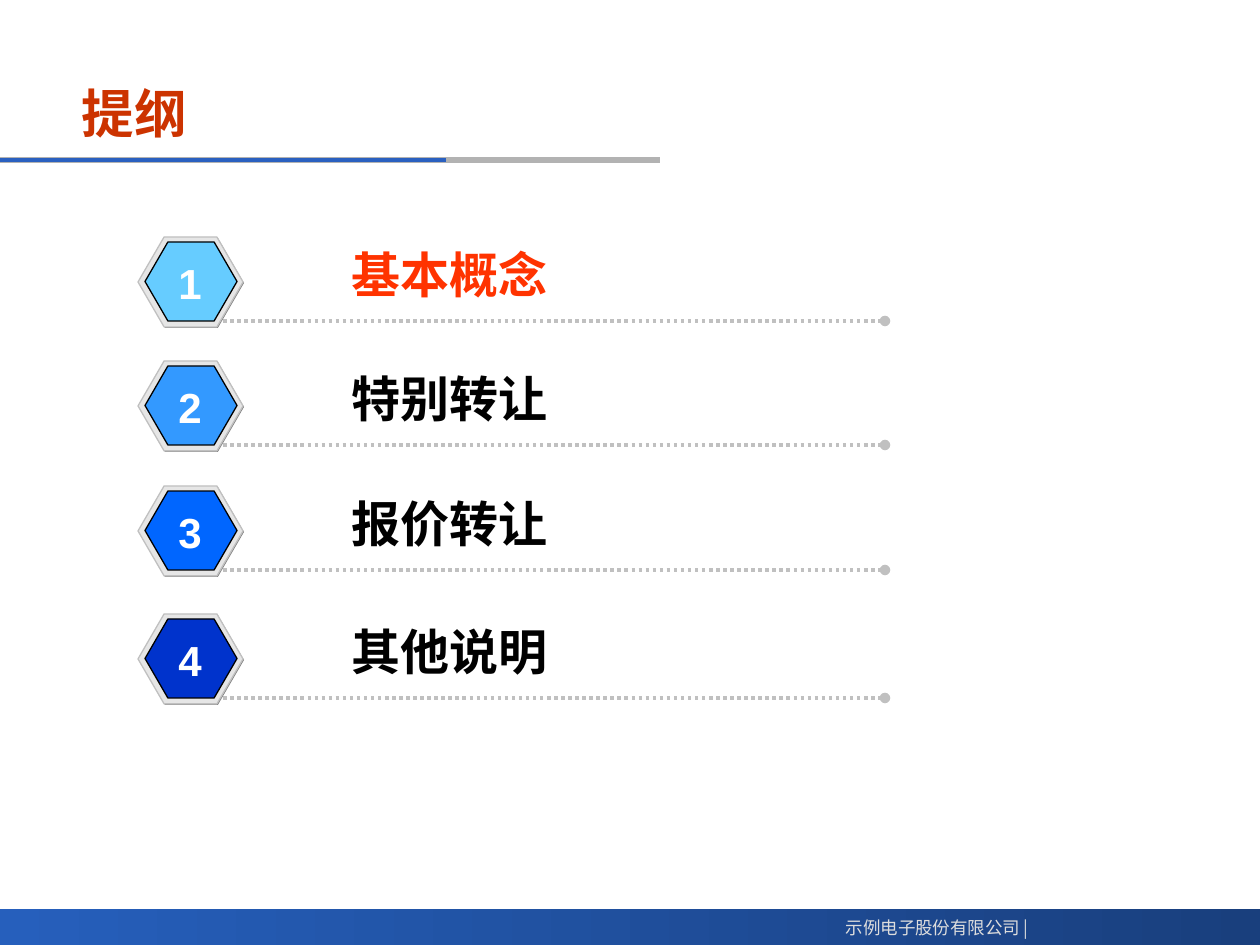
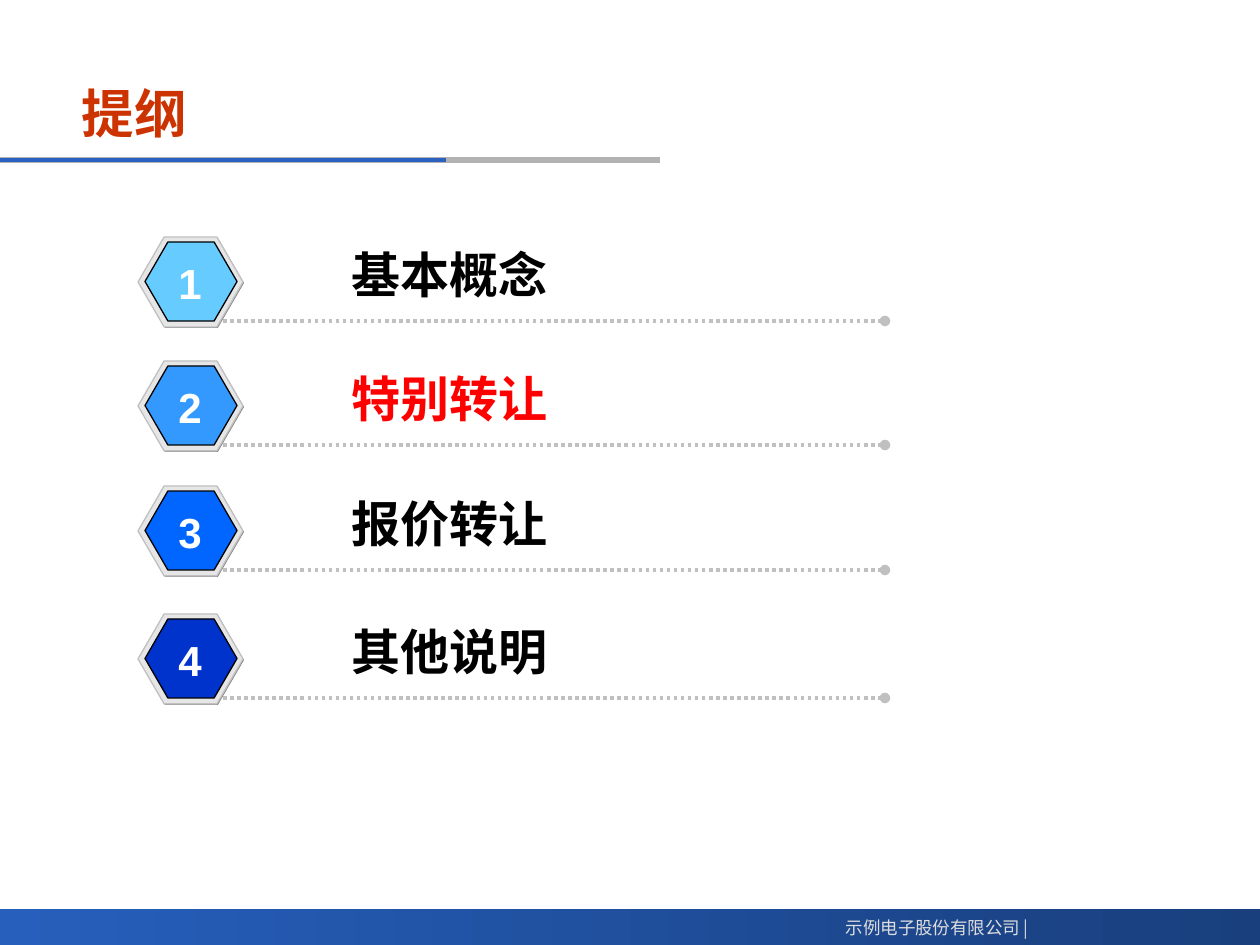
from lxml import etree
from pptx import Presentation
from pptx import util as u
from pptx.dml.color import RGBColor
from pptx.enum import dml, lang, shapes, text
from pptx.oxml import ns

EMU_PER_PX = 914400 / 126
WIDTH, HEIGHT = 1260, 945

WHITE = RGBColor(0xFF, 0xFF, 0xFF)
BLACK = RGBColor(0x00, 0x00, 0x00)
TITLE_RED = RGBColor(0xCC, 0x33, 0x00)
ORANGE_RED = RGBColor(0xFF, 0x33, 0x00)
PURE_RED = RGBColor(0xFF, 0x00, 0x00)
BAND_START = RGBColor(0x26, 0x5F, 0xBC)
BAND_END = RGBColor(0x19, 0x3F, 0x7D)
RULE_BLUE = RGBColor(0x2A, 0x60, 0xC0)
RULE_GREY = RGBColor(0xB2, 0xB2, 0xB2)
FOOTER_GREY = RGBColor(0xDD, 0xDD, 0xDD)
SHADE_GREY = RGBColor(0x80, 0x80, 0x80)
RIM_GREY = RGBColor(0xE6, 0xE6, 0xE6)
LINE_GREY = RGBColor(0xC0, 0xC0, 0xC0)

# Label, badge colour and top of each agenda row
AGENDA = [
    ("基本概念", RGBColor(0x66, 0xCC, 0xFF), 237),
    ("特别转让", RGBColor(0x33, 0x99, 0xFF), 361),
    ("报价转让", RGBColor(0x00, 0x66, 0xFF), 486),
    ("其他说明", RGBColor(0x00, 0x33, 0xCC), 614),
]
AGENDA_LEFT = 138


def px(*lengths):
    return [u.Emu(round(length * EMU_PER_PX)) for length in lengths]


def format_paragraph(paragraph, size, color, bold=True, name="Arial",
                     align=text.PP_ALIGN.LEFT):
    paragraph.alignment = align
    font = paragraph.font
    font.size, font.bold, font.name = u.Pt(size), bold, name
    font.color.rgb = color
    font.language_id = lang.MSO_LANGUAGE_ID.SIMPLIFIED_CHINESE


def add_label(parent, box, words, size, color, **style):
    """Add a one-line text box that fits its words."""
    label = parent.shapes.add_textbox(*px(*box))
    frame = label.text_frame
    frame.word_wrap = False
    frame.auto_size = text.MSO_AUTO_SIZE.SHAPE_TO_FIT_TEXT
    frame.text = words
    format_paragraph(frame.paragraphs[0], size, color, **style)


def add_line(parent, left, right, y, color, width):
    line = parent.shapes.add_connector(
        shapes.MSO_CONNECTOR.STRAIGHT, *px(left, y, right, y))
    line.line.color.rgb = color
    line.line.width = u.Pt(width)
    etree.SubElement(line._element.spPr, ns.qn("a:effectLst"))
    return line


def add_hexagon(parent, box, fill, outline=None):
    hexagon = parent.shapes.add_shape(
        shapes.MSO_SHAPE.HEXAGON, *px(*box))
    hexagon.adjustments[0] = 0.29
    hexagon.shadow.inherit = False
    hexagon.fill.solid()
    hexagon.fill.fore_color.rgb = fill
    if outline is None:
        hexagon.line.fill.background()
    else:
        hexagon.line.color.rgb = outline
        hexagon.line.width = u.Pt(0.75)


def add_footer(slide, top):
    band = slide.shapes.add_shape(
        shapes.MSO_SHAPE.RECTANGLE, *px(0, top, WIDTH, HEIGHT - top))
    band.shadow.inherit = False
    band.line.fill.background()
    band.fill.gradient()
    band.fill.gradient_angle = 0
    for stop, color in zip(band.fill.gradient_stops, (BAND_START, BAND_END)):
        stop.color.rgb = color
    add_label(slide, (820, top + 2, 221, 34), "示例电子股份有限公司 |", 10,
              FOOTER_GREY, bold=False, name="Noto Sans CJK SC",
              align=text.PP_ALIGN.RIGHT)


def add_title(slide, words):
    add_line(slide, 0, 660, 160, RULE_GREY, 3)
    add_line(slide, 0, 446, 160, RULE_BLUE, 2.25)
    title = slide.shapes.title
    title.left, title.top, title.width, title.height = px(69, 71, 872, 84)
    frame = title.text_frame
    frame.text = words
    frame.auto_size = text.MSO_AUTO_SIZE.NONE
    frame.vertical_anchor = text.MSO_ANCHOR.MIDDLE
    format_paragraph(frame.paragraphs[0], 30, TITLE_RED)


def add_agenda_row(slide, left, top, number, label, badge_color, label_color):
    row = slide.shapes.add_group_shape()
    add_hexagon(row, (left + 1, top + 1, 105, 90), SHADE_GREY)
    add_hexagon(row, (left, top, 105, 90), RIM_GREY, LINE_GREY)
    add_hexagon(row, (left + 7, top + 5, 92, 79), badge_color, BLACK)
    leader = add_line(row, left + 85, left + 747, top + 84, LINE_GREY, 2)
    leader.line.dash_style = dml.MSO_LINE.ROUND_DOT
    etree.SubElement(leader.line._ln, ns.qn("a:tailEnd"), type="oval")
    add_label(row, (left + 201, top + 1, 221, 72), label, 28, label_color)
    add_label(row, (left + 28, top + 14, 48, 63), str(number), 24, WHITE,
              align=text.PP_ALIGN.CENTER)


def add_agenda_slide(presentation, current, highlight):
    """Add the outline slide with the current section highlighted."""
    slide = presentation.slides.add_slide(presentation.slide_layouts[5])
    add_footer(slide, 909)
    add_title(slide, "提纲")
    for number, (label, badge_color, top) in enumerate(AGENDA, start=1):
        label_color = highlight if number == current else BLACK
        add_agenda_row(slide, AGENDA_LEFT, top, number, label, badge_color,
                       label_color)


def main():
    presentation = Presentation()
    presentation.slide_width, presentation.slide_height = px(WIDTH, HEIGHT)
    add_agenda_slide(presentation, 1, ORANGE_RED)
    add_agenda_slide(presentation, 2, PURE_RED)
    presentation.save("out.pptx")


if __name__ == "__main__":
    main()
